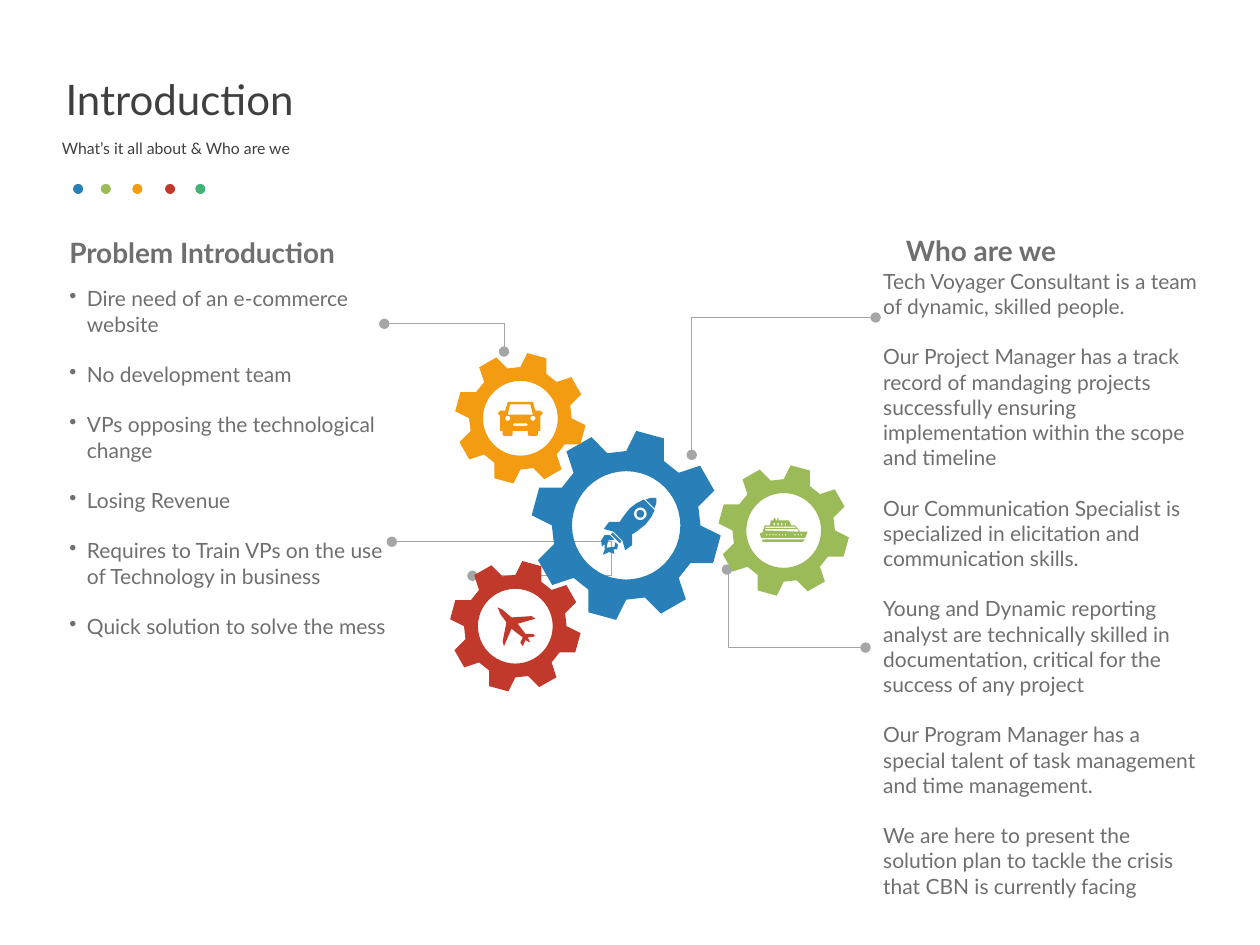
"""Build the introduction slide with its gear diagram."""
import math

from lxml import etree
from pptx import Presentation
from pptx.dml.color import RGBColor
from pptx.enum.shapes import MSO_CONNECTOR, MSO_SHAPE
from pptx.enum.text import MSO_ANCHOR, MSO_AUTO_SIZE, PP_ALIGN
from pptx.oxml.ns import qn
from pptx.util import Inches, Pt

ELBOW, ELLIPSE = MSO_CONNECTOR.ELBOW, MSO_SHAPE.OVAL
TOP, MIDDLE, BOTTOM = MSO_ANCHOR.TOP, MSO_ANCHOR.MIDDLE, MSO_ANCHOR.BOTTOM
LEFT, GROW, NO_FIT = PP_ALIGN.LEFT, MSO_AUTO_SIZE.SHAPE_TO_FIT_TEXT, MSO_AUTO_SIZE.NONE

BLUE = RGBColor(0x29, 0x80, 0xB9)
LIME = RGBColor(0x9B, 0xBB, 0x59)
ORANGE = RGBColor(0xF3, 0x9C, 0x12)
RED = RGBColor(0xC0, 0x39, 0x2B)
GREEN = RGBColor(0x41, 0xB1, 0x76)
DARK = RGBColor(0x3F, 0x3F, 0x3F)
GREY = RGBColor(0x6F, 0x6F, 0x6F)
LINE_GREY = RGBColor(0xA6, 0xA6, 0xA6)

DOTS = [(0.58, BLUE), (0.8, LIME), (1.05, ORANGE), (1.31, RED), (1.55, GREEN)]
GEARS = [(4.97, 4.17, 1, BLUE), (6.22, 4.21, 0.69, LIME),
         (4.13, 3.32, 0.69, ORANGE), (4.09, 4.97, 0.69, RED)]
CALLOUTS = [((5.49, 3.61), (6.95, 2.52), 0), ((6.87, 5.14), (5.77, 4.52), 0.99),
            ((3.11, 4.3), (3.75, 4.57), 2.73), ((3.05, 2.57), (4, 2.79), 1)]
PROBLEMS = [
    "Dire need of an e-commerce website",
    "No development team",
    "VPs opposing the technological change",
    "Losing Revenue",
    "Requires to Train VPs on the use of Technology in business",
    "Quick solution to solve the mess",
]
TEAM = [
    "Tech Voyager Consultant is a team of dynamic, skilled people.",
    "Our Project Manager has a track record of mandaging projects successfully "
    "ensuring implementation within the scope and timeline",
    "Our Communication Specialist is specialized in elicitation and communication skills.",
    "Young and Dynamic reporting analyst are technically skilled in documentation, "
    "critical for the success of any project",
    "Our Program Manager has a special talent of task management and time management.",
    "We are here to present the solution plan to tackle the crisis that CBN is currently facing",
]
TOOTH = [(0, -0.59), (0.08, -0.75), (0.3, -0.69), (0.3, -0.51)]
PLANE = [(4.25, 5.05), (4.19, 5.06), (4.21, 5.1), (4.17, 5.08), (4.15, 5.13), (4.13, 5.1),
         (4.15, 5.06), (4.06, 4.99), (4, 5.13), (3.99, 5.09), (4.02, 4.94), (3.97, 4.87),
         (3.95, 4.82), (3.99, 4.84), (4.06, 4.9), (4.22, 4.89), (4.25, 4.91), (4.11, 4.95),
         (4.17, 5.03), (4.23, 5.03)]
CAR_BODY = [(0.1, 3.19), (0.12, 3.26), (0.16, 3.26), (0.18, 3.28), (0.16, 3.3), (0.16, 3.42),
            (0.14, 3.42), (0.14, 3.45), (0.13, 3.46), (0.07, 3.46), (0.06, 3.45), (0.06, 3.42)]
SHIP_HULL = [(6.17, 4.11), (6.18, 4.11), (6.18, 4.13), (6.26, 4.13), (6.28, 4.17), (6.31, 4.17),
             (6.35, 4.22), (6.41, 4.22), (6.39, 4.27), (6.04, 4.27), (6.03, 4.23), (6.05, 4.23),
             (6.07, 4.17), (6.11, 4.17), (6.12, 4.13), (6.14, 4.13), (6.14, 4.11), (6.15, 4.11),
             (6.16, 4.13), (6.17, 4.13)]
SHIP_DECKS = [[(6.05, 4.28), (6.39, 4.28), (6.37, 4.3), (6.05, 4.3)],
              [(6.07, 4.2), (6.07, 4.21), (6.34, 4.22), (6.33, 4.2)],
              [(6.08, 4.18), (6.07, 4.19), (6.32, 4.19), (6.31, 4.18)]]
ROCKET_NOSE = [(0, -0.31), (0.03, -0.28), (0.05, -0.24)]
ROCKET_BODY = [(0.06, -0.23), (0.08, -0.17), (0.09, -0.1), (0.08, -0.02), (0.07, 0.03),
               (0.13, 0.09), (0.12, 0.16), (0.05, 0.12)]
ROCKET_BASE = [(0.05, 0.13), (0.05, 0.15)]
FLAME = [(0, 0.16), (-0.05, 0.16), (-0.08, 0.19), (-0.07, 0.24), (-0.03, 0.27), (-0.03, 0.24),
         (0, 0.27), (0.02, 0.31), (0.04, 0.26), (0.08, 0.24), (0.05, 0.22), (0.07, 0.2),
         (0.05, 0.17), (0.02, 0.17), (0.04, 0.2), (0, 0.25), (-0.03, 0.2)]


def circle(x, y, radius, steps=48):
    """Return points around a circle."""
    turns = [2 * math.pi * step / steps for step in range(steps)]
    return [(x + radius * math.cos(turn), y + radius * math.sin(turn)) for turn in turns]


def mirrored(half, axis):
    """Return an outline completed by reflecting its right half about an axis."""
    return [(axis + x, y) for x, y in half] + [(axis - x, y) for x, y in reversed(half)]


def box(left, top, width, height):
    """Return the corners of a rectangle."""
    right, bottom = left + width, top + height
    return [(left, top), (right, top), (right, bottom), (left, bottom)]


def gear_outline(x, y, scale):
    """Return eight evenly turned teeth around a round hole."""
    rim = []
    for tooth in range(8):
        cos, sin = math.cos(tooth * math.pi / 4), math.sin(tooth * math.pi / 4)
        rim += [(x + scale * (a * cos - b * sin), y + scale * (a * sin + b * cos))
                for a, b in TOOTH]
    return [rim, circle(x, y, 0.43 * scale)]


def car_outline():
    """Return the car body with windscreen, lamps and grille cut out."""
    middle = 4.13
    lamps = [circle(middle + side, 3.32, 0.02) for side in (-0.1, 0.1)]
    windscreen = mirrored([(0.08, 3.21), (0.1, 3.29)], middle)
    grille = mirrored([(0.05, 3.36), (0.06, 3.37), (0.05, 3.38)], middle)
    return [mirrored(CAR_BODY, middle), windscreen, grille] + lamps


def ship_outline():
    """Return the ship hull with decks and two rows of windows."""
    columns = [column for column in range(12) if column not in (7, 8)]
    portholes = [box(6.08 + 0.025 * column, 4.24, 0.01, 0.01) for column in columns]
    cabins = [box(6.14 + 0.03 * column, 4.15, 0.01, 0.02) for column in range(4)]
    return [SHIP_HULL] + SHIP_DECKS + portholes + cabins


def rocket_outline(x, y):
    """Return an upright rocket with a ringed window and a flame."""
    parts = [mirrored(half, 0) for half in (ROCKET_NOSE, ROCKET_BODY, ROCKET_BASE)]
    parts += [FLAME, circle(0, -0.13, 0.05), circle(0, -0.13, 0.03)]
    return [[(x + a, y + b) for a, b in part] for part in parts]


def paint(shape, color):
    """Give a shape a plain fill."""
    shape.shadow.inherit = False
    shape.fill.solid()
    shape.fill.fore_color.rgb = color
    shape.line.fill.background()


def draw_outline(slide, contours, color):
    """Draw closed contours as one filled freeform."""
    builder = None
    for contour in contours:
        points = [(Inches(x), Inches(y)) for x, y in contour]
        if builder is None:
            builder = slide.shapes.build_freeform(*points[0])
        else:
            builder.move_to(*points[0])
        builder.add_line_segments(points[1:], close=True)
    outline = builder.convert_to_shape()
    paint(outline, color)
    return outline


def add_callout(slide, start, end, bend):
    """Add an elbow line with a round dot at each end."""
    callout = slide.shapes.add_connector(ELBOW, *map(Inches, start + end))
    callout.line.color.rgb = LINE_GREY
    callout.line.width = Pt(0.5)
    properties = callout.element.spPr
    adjustments = properties.find(qn("a:prstGeom")).get_or_add_avLst()
    etree.SubElement(adjustments, qn("a:gd"), name="adj1", fmla=f"val {round(bend * 100000)}")
    for tip in ("a:headEnd", "a:tailEnd"):
        etree.SubElement(properties.find(qn("a:ln")), qn(tip), type="oval")
    etree.SubElement(properties, qn("a:effectLst"))


def write(frame, lines, size, color, bold=False, gap=0, bullet=False):
    """Write left-aligned paragraphs with an equal gap between them."""
    frame.word_wrap = True
    for index, line in enumerate(lines):
        paragraph = frame.add_paragraph() if index else frame.paragraphs[0]
        paragraph.alignment = LEFT
        paragraph.space_before = Pt(gap if index else 0)
        run = paragraph.add_run()
        run.text = line
        run.font.name, run.font.size, run.font.bold = "Lato", Pt(size), bold
        run.font.color.rgb = color
        if bullet:
            properties = paragraph.element.get_or_add_pPr() if hasattr(paragraph, "element") \
                else paragraph._p.get_or_add_pPr()
            properties.set("marL", str(Inches(0.14)))
            properties.set("indent", str(Inches(-0.14)))
            etree.SubElement(properties, qn("a:buChar"), char="•")


def fill_heading(heading, area, text, size, anchor):
    """Move a title placeholder and write its text."""
    heading.left, heading.top, heading.width, heading.height = map(Inches, area)
    frame = heading.text_frame
    frame.auto_size, frame.vertical_anchor = NO_FIT, anchor
    write(frame, [text], size, DARK)
    frame.paragraphs[0].line_spacing = 0.9


def add_text(slide, area, lines, size, anchor=TOP, **style):
    """Add a text box without a left inset."""
    frame = slide.shapes.add_textbox(*map(Inches, area)).text_frame
    frame.margin_left = 0
    frame.auto_size, frame.vertical_anchor = GROW, anchor
    write(frame, lines, size, GREY, **style)


def main():
    """Build and save the slide."""
    deck = Presentation()
    deck.slide_width, deck.slide_height = Inches(10), Inches(7.5)
    slide = deck.slides.add_slide(deck.slide_layouts[0])
    for left, color in DOTS:
        paint(slide.shapes.add_shape(ELLIPSE, *map(Inches, (left, 1.46, 0.08, 0.08))), color)
    title, subtitle = slide.placeholders
    fill_heading(title, (0.42, 0.51, 9.15, 0.53), "Introduction", 24, BOTTOM)
    fill_heading(subtitle, (0.39, 1.07, 9.15, 0.29), "What’s it all about & Who are we", 9, TOP)
    add_text(slide, (7.19, 1.8, 2.25, 0.37), ["Who are we"], 16, MIDDLE, bold=True)
    add_text(slide, (7.01, 2.08, 2.63, 5.15), TEAM, 12, gap=14.4)
    add_text(slide, (0.55, 1.82, 2.73, 0.37), ["Problem Introduction"], 16, MIDDLE, bold=True)
    add_text(slide, (0.55, 2.22, 2.73, 3.13), PROBLEMS, 12, gap=14.4, bullet=True)
    for start, end, bend in CALLOUTS:
        add_callout(slide, start, end, bend)
    for x, y, scale, color in GEARS:
        draw_outline(slide, gear_outline(x, y, scale), color)
    draw_outline(slide, car_outline(), ORANGE)
    draw_outline(slide, ship_outline(), LIME)
    draw_outline(slide, [PLANE], RED)
    draw_outline(slide, rocket_outline(4.99, 4.17), BLUE).rotation = 45
    deck.save("out.pptx")


if __name__ == "__main__":
    main()
